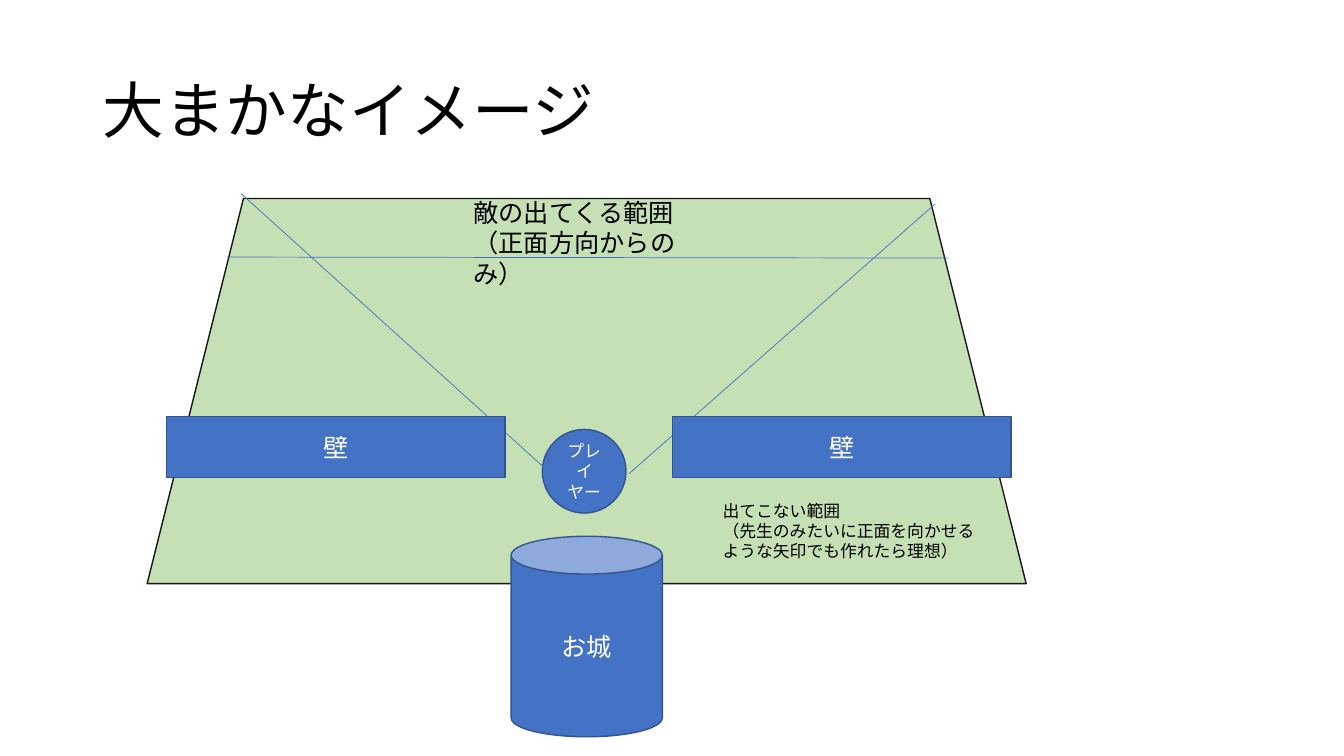
from pptx import Presentation
from pptx.dml.color import RGBColor
from pptx.enum.lang import MSO_LANGUAGE_ID as LANG
from pptx.enum.shapes import MSO_CONNECTOR, MSO_SHAPE as SHAPE
from pptx.enum.text import MSO_ANCHOR as ANCHOR, PP_ALIGN as ALIGN
from pptx.oxml.ns import qn
from pptx.util import Inches, Pt
from lxml.etree import SubElement

BLACK = RGBColor(0x00, 0x00, 0x00)
WHITE = RGBColor(0xFF, 0xFF, 0xFF)
GRASS = RGBColor(0xC5, 0xE0, 0xB4)
GRASS_EDGE = RGBColor(0x18, 0x18, 0x18)
BLUE = RGBColor(0x44, 0x72, 0xC4)
BLUE_EDGE = RGBColor(0x32, 0x54, 0x91)
FONT = "Calibri"

W, H = Inches(13.33), Inches(7.5)
COL, ROW = W / 100, H / 100
TITLE_BOX = (6.9, 5.33, 86.25, 19.33)
FIELD_BOX = (10.95, 26.27, 65.4, 50.93)


def place(box, x, y):
    return round((box[0] + x) * COL), round((box[1] + y) * ROW)


def size(w, h):
    return round(w * COL), round(h * ROW)


def write(tf, lines, pt, color, align=ALIGN.LEFT, anchor=ANCHOR.TOP):
    tf.word_wrap = True
    tf.vertical_anchor = anchor
    for i, line in enumerate(lines):
        p = tf.add_paragraph() if i else tf.paragraphs[0]
        p.alignment = align
        r = p.add_run()
        r.text = line
        r.font.name, r.font.size = FONT, Pt(pt)
        r.font.color.rgb = color
        r.font.language_id = LANG.JAPANESE


def add_part(slide, box, kind, x, y, w, h, fill=BLUE, edge=BLUE_EDGE):
    sp = slide.shapes.add_shape(kind, *place(box, x, y), *size(w, h))
    sp.shadow.inherit = False
    sp.fill.solid()
    sp.fill.fore_color.rgb = fill
    sp.line.color.rgb = edge
    sp.line.width = Pt(1)
    return sp


def add_label(slide, box, x, y, w, h, lines, pt, anchor=ANCHOR.TOP):
    sp = slide.shapes.add_textbox(*place(box, x, y), *size(w, h))
    write(sp.text_frame, lines, pt, BLACK, anchor=anchor)
    return sp


def add_sight_line(slide, box, x1, y1, x2, y2):
    cx = slide.shapes.add_connector(
        MSO_CONNECTOR.STRAIGHT, *place(box, x1, y1), *place(box, x2, y2))
    cx.line.color.rgb = BLUE
    cx.line.width = Pt(0.5)
    SubElement(cx._element.spPr, qn("a:effectLst"))


def add_title(slide, box):
    sp = add_label(slide, box, 0, 0, box[2], box[3],
                   ["大まかなイメージ"], 44, ANCHOR.MIDDLE)
    sp.text_frame.paragraphs[0].line_spacing = 0.9


def add_field(slide, box):
    add_part(slide, box, SHAPE.TRAPEZOID, 0, 0, box[2], box[3], GRASS, GRASS_EDGE)

    player = add_part(slide, box, SHAPE.OVAL, 29.4, 30.53, 6.23, 11.07)
    write(player.text_frame, ["プレイヤー"], 12, WHITE, ALIGN.CENTER, ANCHOR.MIDDLE)

    add_sight_line(slide, box, 6.98, -0.67, 29.55, 35.6)
    add_sight_line(slide, box, 58.65, 0.67, 35.85, 36.4)

    add_label(slide, box, 23.55, -0.8, 19.73, 9.47,
              ["敵の出てくる範囲", "（正面方向からのみ）"], 18)
    add_label(slide, box, 42.08, 39.33, 20.55, 9.47,
              ["出てこない範囲",
               "（先生のみたいに正面を向かせるような矢印でも作れたら理想）"], 12)

    buildings = [
        (SHAPE.CAN, "お城", 27.08, 44.67, 11.25, 26.53),
        (SHAPE.RECTANGLE, "壁", 1.43, 28.8, 25.2, 8.13),
        (SHAPE.RECTANGLE, "壁", 39.08, 28.8, 25.2, 8.13),
    ]
    for kind, name, *frame in buildings:
        sp = add_part(slide, box, kind, *frame)
        write(sp.text_frame, [name], 18, WHITE, ALIGN.CENTER, ANCHOR.MIDDLE)

    add_sight_line(slide, box, 5.93, 7.73, 59.63, 7.87)


def main():
    prs = Presentation()
    prs.slide_width, prs.slide_height = W, H
    slide = prs.slides.add_slide(prs.slide_layouts[6])
    add_title(slide, TITLE_BOX)
    add_field(slide, FIELD_BOX)
    prs.save("out.pptx")


if __name__ == "__main__":
    main()
